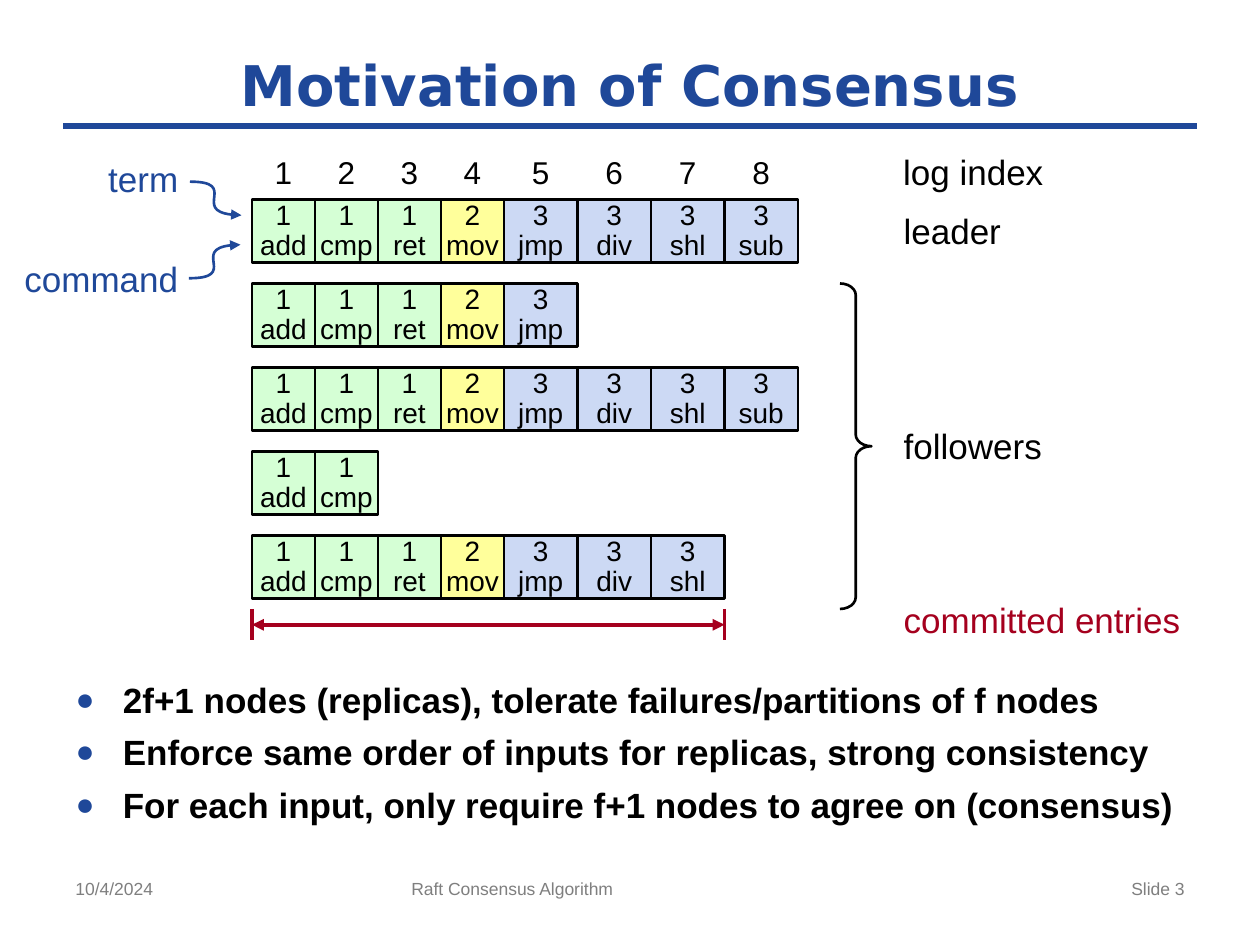
from pptx import Presentation
from pptx.dml.color import RGBColor
from pptx.enum.shapes import MSO_CONNECTOR, MSO_SHAPE
from pptx.enum.text import MSO_ANCHOR as ANCHOR, MSO_AUTO_SIZE, PP_ALIGN as ALIGN
from pptx.oxml import parse_xml
from pptx.oxml.ns import nsdecls, qn
from pptx.util import Pt

PX = 7620  # EMU per px, 120 px to the inch
BLUE, RED, BLACK, GRAY = "1F4899", "A5001E", "000000", "7F7F7F"
TERM_FILLS = {1: "D5FFD5", 2: "FFFF9B", 3: "CCD9F4"}
LOG = [(1, "add"), (1, "cmp"), (1, "ret"), (2, "mov"),
       (3, "jmp"), (3, "div"), (3, "shl"), (3, "sub")]
LOG_LENGTHS = [8, 5, 8, 2, 7]  # leader first, then the followers
COLUMNS = [(240 + 60 * i, 60) if i < 4 else (480 + 70 * (i - 4), 70)
           for i in range(len(LOG))]
ROW_TOP, ROW_STEP, CELL_HEIGHT = 190, 80, 60

rgb = RGBColor.from_string


def write(shape, text, size, color, align=ALIGN.CENTER, inset=True, wrap=True,
          font="Arial", bold=False):
    """Put text in a shape and format every run."""
    frame = shape.text_frame
    frame.text = text
    frame.word_wrap = wrap
    frame.auto_size = MSO_AUTO_SIZE.NONE
    if not inset:
        frame.margin_left = frame.margin_right = 0
        frame.margin_top = frame.margin_bottom = 0
    for paragraph in frame.paragraphs:
        paragraph.alignment = align
        for run in paragraph.runs:
            run.font.name, run.font.size, run.font.bold = font, Pt(size), bold
            run.font.color.rgb = rgb(color)


def style_line(shape, color, width, arrows=()):
    """Set the line of a shape, with triangles at the named ends and no shadow."""
    shape.line.color.rgb = rgb(color)
    shape.line.width = Pt(width)
    properties = shape._element.spPr
    for end in arrows:
        properties.find(qn("a:ln")).append(
            parse_xml(f'<a:{end} {nsdecls("a")} type="triangle"/>'))
    if properties.find(qn("a:effectLst")) is None:
        properties.append(parse_xml(f'<a:effectLst {nsdecls("a")}/>'))


presentation = Presentation()
presentation.slide_width, presentation.slide_height = 1200 * PX, 900 * PX
slide = presentation.slides.add_slide(presentation.slide_layouts[1])
shapes = slide.shapes

# Title and bullets
title, body = slide.placeholders
title.left, title.top, title.width, title.height = [v * PX for v in (60, 40, 1080, 80)]
write(title, "Motivation of Consensus", 32, BLUE, font="DejaVu Sans", bold=True)
title.text_frame.vertical_anchor = ANCHOR.MIDDLE

body.left, body.top, body.width, body.height = [v * PX for v in (60, 640, 1080, 190)]
bullets = ["2f+1 nodes (replicas), tolerate failures/partitions of f nodes",
           "Enforce same order of inputs for replicas, strong consistency",
           "For each input, only require f+1 nodes to agree on (consensus)"]
write(body, "\n".join(bullets), 20, BLACK, align=ALIGN.LEFT, bold=True)
for paragraph in body.text_frame.paragraphs:
    paragraph.space_before = Pt(6)
    properties = paragraph._p.get_or_add_pPr()
    properties.set("marL", str(45 * PX))
    properties.set("indent", str(-45 * PX))
    for bullet_part in (f'<a:buClr {nsdecls("a")}><a:srgbClr val="{BLUE}"/></a:buClr>',
                        f'<a:buSzPct {nsdecls("a")} val="90000"/>',
                        f'<a:buFont {nsdecls("a")} typeface="Arial"/>',
                        f'<a:buChar {nsdecls("a")} char="●"/>'):
        properties.append(parse_xml(bullet_part))

# Footer
for left, width, text, align in [(60, 280, "10/4/2024", ALIGN.LEFT),
                                 (380, 450, "Raft Consensus Algorithm", ALIGN.LEFT),
                                 (860, 280, "Slide 3", ALIGN.RIGHT)]:
    footer = shapes.add_textbox(left * PX, 830 * PX, width * PX, 52 * PX)
    write(footer, text, 10, GRAY, align=align)

# Log indexes and log entries
for index, (left, width) in enumerate(COLUMNS, start=1):
    index_label = shapes.add_textbox(left * PX, 140 * PX, width * PX, 48 * PX)
    write(index_label, str(index), 18, BLACK)

for row, length in enumerate(LOG_LENGTHS):
    top = ROW_TOP + ROW_STEP * row
    for (left, width), (term, command) in zip(COLUMNS[:length], LOG):
        entry = shapes.add_shape(MSO_SHAPE.RECTANGLE, left * PX, top * PX,
                                 width * PX, CELL_HEIGHT * PX)
        entry.shadow.inherit = False
        entry.fill.solid()
        entry.fill.fore_color.rgb = rgb(TERM_FILLS[term])
        style_line(entry, BLACK, 1.5)
        write(entry, f"{term}\v{command}", 16, BLACK, inset=False)
        entry.text_frame.vertical_anchor = ANCHOR.MIDDLE
        entry.text_frame.paragraphs[0].line_spacing = Pt(17)

# Labels beside the logs
for left, top, width, text, color in [(860, 143, 134, "log index", BLACK),
                                      (860, 200, 94, "leader", BLACK),
                                      (860, 404, 133, "followers", BLACK),
                                      (860, 570, 265, "committed entries", RED),
                                      (103, 150, 67, "term", BLUE),
                                      (23, 245, 147, "command", BLUE)]:
    label = shapes.add_textbox(left * PX, top * PX, width * PX, 41 * PX)
    write(label, text, 20, color, inset=False, wrap=False)

brace = shapes.add_shape(MSO_SHAPE.RIGHT_BRACE, 800 * PX, 270 * PX, 30 * PX, 310 * PX)
brace.adjustments[0], brace.adjustments[1] = 0.37, 0.5
brace.shadow.inherit = False
brace.fill.background()
style_line(brace, BLACK, 1.5)

# Title rule and the span of committed entries
for x1, y1, x2, y2, color, width, arrows in [
        (60, 120, 1140, 120, BLUE, 4, ()),
        (240, 580, 240, 610, RED, 2.25, ()),
        (690, 580, 690, 610, RED, 2.25, ()),
        (240, 595, 690, 595, RED, 2.25, ("headEnd", "tailEnd"))]:
    line = shapes.add_connector(MSO_CONNECTOR.STRAIGHT, x1 * PX, y1 * PX, x2 * PX, y2 * PX)
    style_line(line, color, width, arrows)

# Curved arrows from the term and command labels to the first entry
for start, *curve_points in [[(181, 173), (228, 173), (176, 204), (230, 205)],
                             [(180, 265), (228, 265), (175, 234), (229, 233)]]:
    builder = shapes.build_freeform(*start, scale=PX)
    builder.add_line_segments(curve_points, close=False)
    arrow = builder.convert_to_shape()
    segments = list(arrow._element.iter(qn("a:lnTo")))
    curve = parse_xml(f'<a:cubicBezTo {nsdecls("a")}/>')
    segments[0].addprevious(curve)
    for segment in segments:
        curve.append(segment[0])
        segment.getparent().remove(segment)
    arrow.shadow.inherit = False
    arrow.fill.background()
    style_line(arrow, BLUE, 1.5, ("tailEnd",))

presentation.save("out.pptx")
